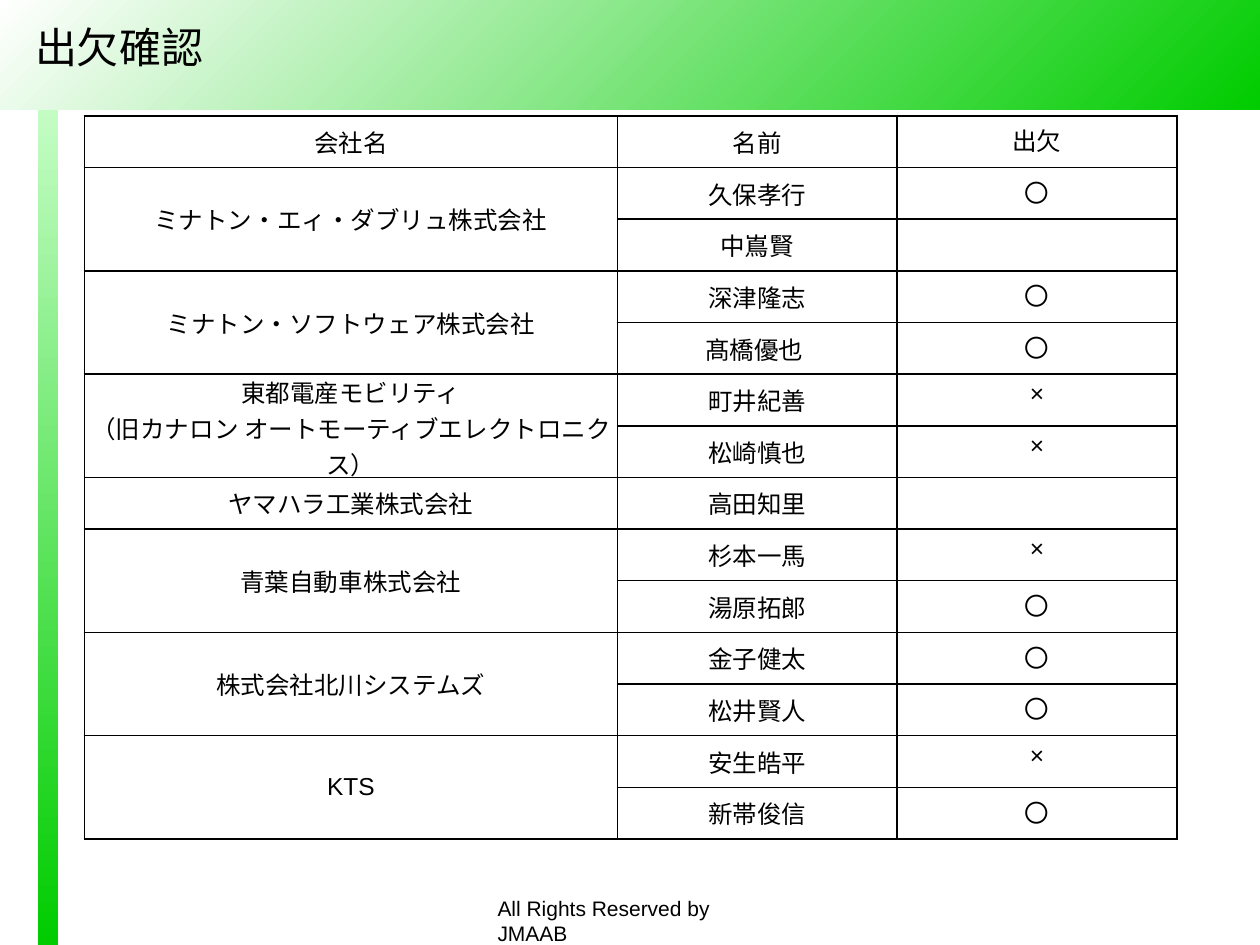
from dataclasses import dataclass

import lxml.etree
import pptx
import pptx.dml.color
import pptx.enum.shapes
import pptx.enum.text
import pptx.oxml
import pptx.oxml.ns
import pptx.util

WIDE, HIGH = 10, 7.5
LATIN, KANJI = "Arial", "Noto Sans CJK JP"
BLACK, GREEN = "000000", "00CC00"
MID = pptx.enum.text.MSO_ANCHOR.MIDDLE
CENTER = pptx.enum.text.PP_ALIGN.CENTER
ROW = 0.41
COLS = (4.23, 2.22, 2.22)


@dataclass
class Box:
    left: float
    top: float
    width: float
    height: float

    def place(self) -> tuple:
        return tuple(map(pptx.util.Inches, (self.left, self.top, self.width, self.height)))


@dataclass
class Band:
    box: Box
    start: str
    angle: int


@dataclass
class Label:
    box: Box
    text: str
    size: int
    face: str


@dataclass
class Firm:
    name: str
    people: tuple
    face: str = LATIN


BANDS = (
    Band(Box(0.3, 0.6, 0.16, HIGH - 0.6), "CCFFCC", 90),
    Band(Box(0, 0, WIDE, 0.87), "FFFFFF", 45),
)
FOOT = Label(Box(3.85, 7.06, 2.48, 0.3), "All Rights Reserved by JMAAB", 12, LATIN)
TITLE = Label(Box(0.18, 0.14, 6.86, 0.46), "出欠確認", 24, KANJI)
HEADS = ("会社名", "名前", "出欠")
FIRMS = (
    Firm("ミナトン・エィ・ダブリュ株式会社", (("久保孝行", "〇"), ("中嶌賢", ""))),
    Firm("ミナトン・ソフトウェア株式会社", (("深津隆志", "〇"), ("髙橋優也 ", "〇"))),
    Firm(
        "東都電産モビリティ\n（旧カナロン オートモーティブエレクトロニクス）",
        (("町井紀善", "×"), ("松崎慎也", "×")),
        KANJI,
    ),
    Firm("ヤマハラ工業株式会社", (("高田知里", ""),)),
    Firm("青葉自動車株式会社", (("杉本一馬", "×"), ("湯原拓郎", "〇"))),
    Firm("株式会社北川システムズ", (("金子健太", "〇"), ("松井賢人", "〇"))),
    Firm("KTS", (("安生皓平", "×"), ("新帯俊信", "〇"))),
)


def color(code: str) -> pptx.dml.color.RGBColor:
    return pptx.dml.color.RGBColor.from_string(code)


def write(frame, text: str, size: int, face: str, align=None) -> None:
    frame.text = text
    for para in frame.paragraphs:
        para.alignment = align
        para.font.size = pptx.util.Pt(size)
        for run in para.runs:
            run.font.size = pptx.util.Pt(size)
            run.font.name = face
            run.font.color.rgb = color(BLACK)
            east = lxml.etree.SubElement(run.font._element, pptx.oxml.ns.qn("a:ea"))
            east.set("typeface", KANJI)


def draw_band(slide, band: Band) -> None:
    kind = pptx.enum.shapes.MSO_SHAPE.RECTANGLE
    shape = slide.shapes.add_shape(kind, *band.box.place())
    shape.shadow.inherit = False
    shape.line.fill.background()
    shape.fill.gradient()
    shape.fill.gradient_angle = 360 - band.angle
    for stop, code in zip(shape.fill.gradient_stops, (band.start, GREEN)):
        stop.color.rgb = color(code)


def draw_label(slide, label: Label, anchor=None) -> None:
    frame = slide.shapes.add_textbox(*label.box.place()).text_frame
    frame.word_wrap = True
    frame.vertical_anchor = anchor
    write(frame, label.text, label.size, label.face)


def rule_cell(cell) -> None:
    cell.fill.background()
    props = cell._tc.get_or_add_tcPr()
    space = pptx.oxml.ns.nsdecls("a")
    for spot, side in enumerate("LRTB"):
        line = pptx.oxml.parse_xml(
            f'<a:ln{side} {space} w="12700"><a:solidFill>'
            f'<a:srgbClr val="{BLACK}"/></a:solidFill></a:ln{side}>'
        )
        props.insert(spot, line)


def fill_cell(cell, text: str, face: str = LATIN, tight: bool = True) -> None:
    if tight:
        cell.vertical_anchor = MID
        cell.margin_left = cell.margin_right = 0
        cell.margin_top = cell.margin_bottom = 0
    write(cell.text_frame, text, 14, face, CENTER)


def draw_table(slide) -> None:
    count = 1 + sum(len(firm.people) for firm in FIRMS)
    box = Box(0.67, 0.92, sum(COLS), ROW * count)
    table = slide.shapes.add_table(count, len(COLS), *box.place()).table
    table.first_row = table.horz_banding = False
    for col, width in zip(table.columns, COLS):
        col.width = pptx.util.Inches(width)
    for row in table.rows:
        row.height = pptx.util.Inches(ROW)
    for cell in table.iter_cells():
        rule_cell(cell)
    for col, head in enumerate(HEADS):
        fill_cell(table.cell(0, col), head, tight=col < 2)
    row = 1
    for firm in FIRMS:
        last = row + len(firm.people) - 1
        if last > row:
            table.cell(row, 0).merge(table.cell(last, 0))
        fill_cell(table.cell(row, 0), firm.name, firm.face)
        for person, mark in firm.people:
            fill_cell(table.cell(row, 1), person)
            fill_cell(table.cell(row, 2), mark, tight=False)
            row += 1


def main() -> None:
    deck = pptx.Presentation()
    deck.slide_width = pptx.util.Inches(WIDE)
    deck.slide_height = pptx.util.Inches(HIGH)
    slide = deck.slides.add_slide(deck.slide_layouts[6])
    for band in BANDS:
        draw_band(slide, band)
    draw_label(slide, FOOT)
    draw_label(slide, TITLE, MID)
    draw_table(slide)
    deck.save("out.pptx")


if __name__ == "__main__":
    main()
